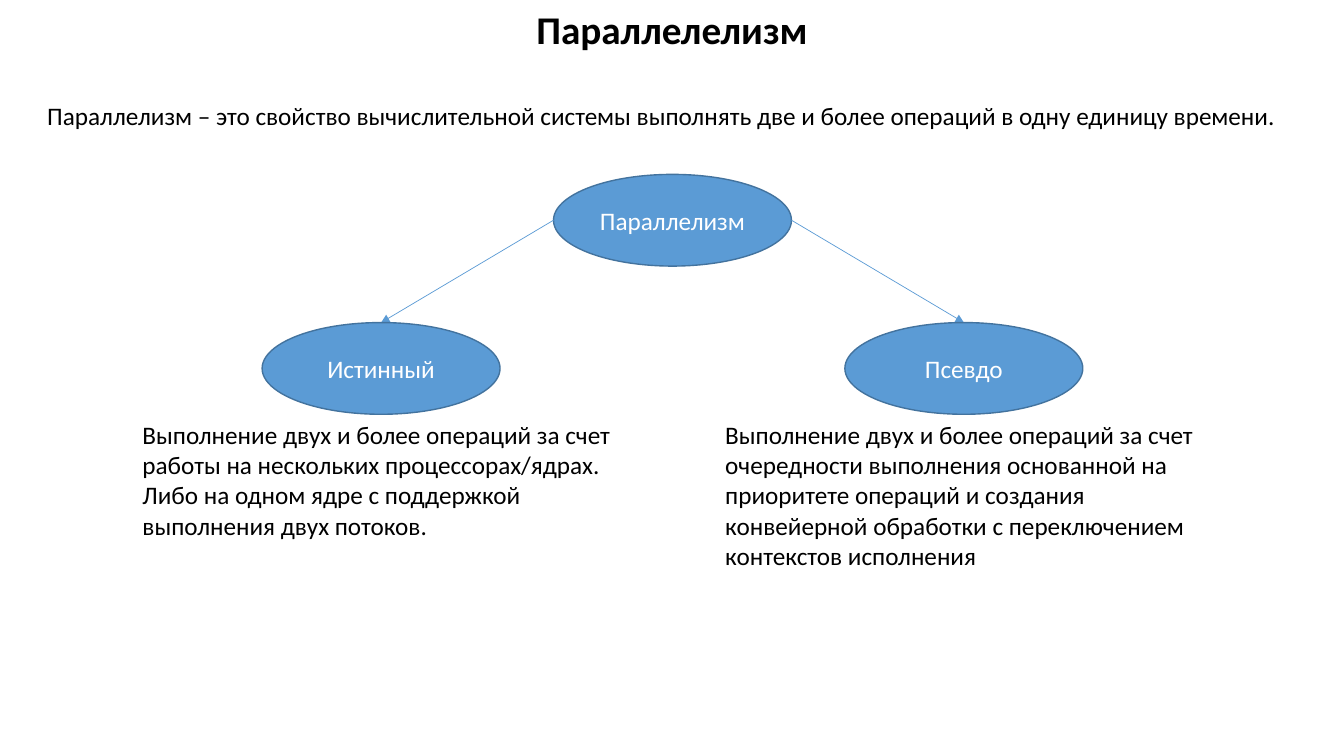
from lxml import etree
from pptx import Presentation
from pptx import util as u
from pptx.dml.color import RGBColor
from pptx.enum import shapes, text
from pptx.oxml.ns import qn

CELL = 0.1  # grid step in inches, for columns and rows alike


def grid(cells):
    return u.Inches(cells * CELL)


def color(hex_code):
    return RGBColor.from_string(hex_code)


def write(frame, words, size=18, ink="000000", bold=False,
          align=text.PP_ALIGN.LEFT, anchor=text.MSO_ANCHOR.TOP, wrap=True):
    frame.word_wrap = wrap
    frame.auto_size = text.MSO_AUTO_SIZE.NONE
    frame.vertical_anchor = anchor
    frame.margin_left = frame.margin_right = grid(1)
    frame.margin_top = frame.margin_bottom = grid(0.5)
    paragraph = frame.paragraphs[0]
    paragraph.alignment = align
    run = paragraph.add_run()
    run.text = words
    run.font.name, run.font.size, run.font.bold = "Calibri", u.Pt(size), bold
    run.font.color.rgb = color(ink)


class Diagram:
    FILL, OUTLINE = "5B9BD5", "43739E"
    NODE_W, NODE_H = 23.6, 9.1

    def __init__(self, slide):
        self.slide = slide

    def title(self, words, left, top, width, height):
        heading = self.slide.shapes.title
        heading.left, heading.top = grid(left), grid(top)
        heading.width, heading.height = grid(width), grid(height)
        write(heading.text_frame, words, size=28, bold=True,
              align=text.PP_ALIGN.CENTER, wrap=False)

    def note(self, words, left, top, width, height, **style):
        box = self.slide.shapes.add_textbox(*map(grid, (left, top, width, height)))
        write(box.text_frame, words, **style)

    def node(self, words, center, top):
        oval = self.slide.shapes.add_shape(
            shapes.MSO_SHAPE.OVAL, grid(center - self.NODE_W / 2), grid(top),
            grid(self.NODE_W), grid(self.NODE_H))
        oval.shadow.inherit = False
        oval.fill.solid()
        oval.fill.fore_color.rgb = color(self.FILL)
        oval.line.color.rgb = color(self.OUTLINE)
        oval.line.width = u.Pt(1)
        write(oval.text_frame, words, ink="FFFFFF", align=text.PP_ALIGN.CENTER,
              anchor=text.MSO_ANCHOR.MIDDLE)

    def arrow(self, x1, y1, x2, y2):
        link = self.slide.shapes.add_connector(
            shapes.MSO_CONNECTOR.STRAIGHT, *map(grid, (x1, y1, x2, y2)))
        link.line.color.rgb = color(self.FILL)
        link.line.width = u.Pt(0.5)
        etree.SubElement(link.line._get_or_add_ln(), qn("a:tailEnd"), type="triangle")
        etree.SubElement(link._element.spPr, qn("a:effectLst"))


def main():
    deck = Presentation()
    deck.slide_width, deck.slide_height = u.Inches(13.33), u.Inches(7.5)
    diagram = Diagram(deck.slides.add_slide(deck.slide_layouts[5]))

    # Title and definition
    diagram.title("Параллелелизм", 52, 0, 29.3, 5.7)
    diagram.note("Параллелизм – это свойство вычислительной системы выполнять "
                 "две и более операций в одну единицу времени.",
                 3.7, 9.5, 124.6, 4, wrap=False)

    # Root of the tree
    middle, root_top, kind_top = 66.7, 17.3, 32
    diagram.node("Параллелизм", middle, root_top)

    # Two kinds, mirrored about the middle
    kinds = [
        (-1, "Истинный", 13.1,
         "Выполнение двух и более операций за счет работы на нескольких "
         "процессорах/ядрах. Либо на одном ядре с поддержкой выполнения "
         "двух потоков."),
        (1, "Псевдо", 16.2,
         "Выполнение двух и более операций за счет очередности выполнения "
         "основанной на приоритете операций и создания конвейерной обработки "
         "с переключением контекстов исполнения"),
    ]
    spread, note_w = 28.9, 49.3
    for side, kind, note_h, meaning in kinds:
        center = middle + side * spread
        diagram.arrow(middle + side * diagram.NODE_W / 2,
                      root_top + diagram.NODE_H / 2, center, kind_top)
        diagram.node(kind, center, kind_top)
        diagram.note(meaning, center - note_w / 2, kind_top + diagram.NODE_H,
                     note_w, note_h)

    deck.save("out.pptx")


if __name__ == "__main__":
    main()
